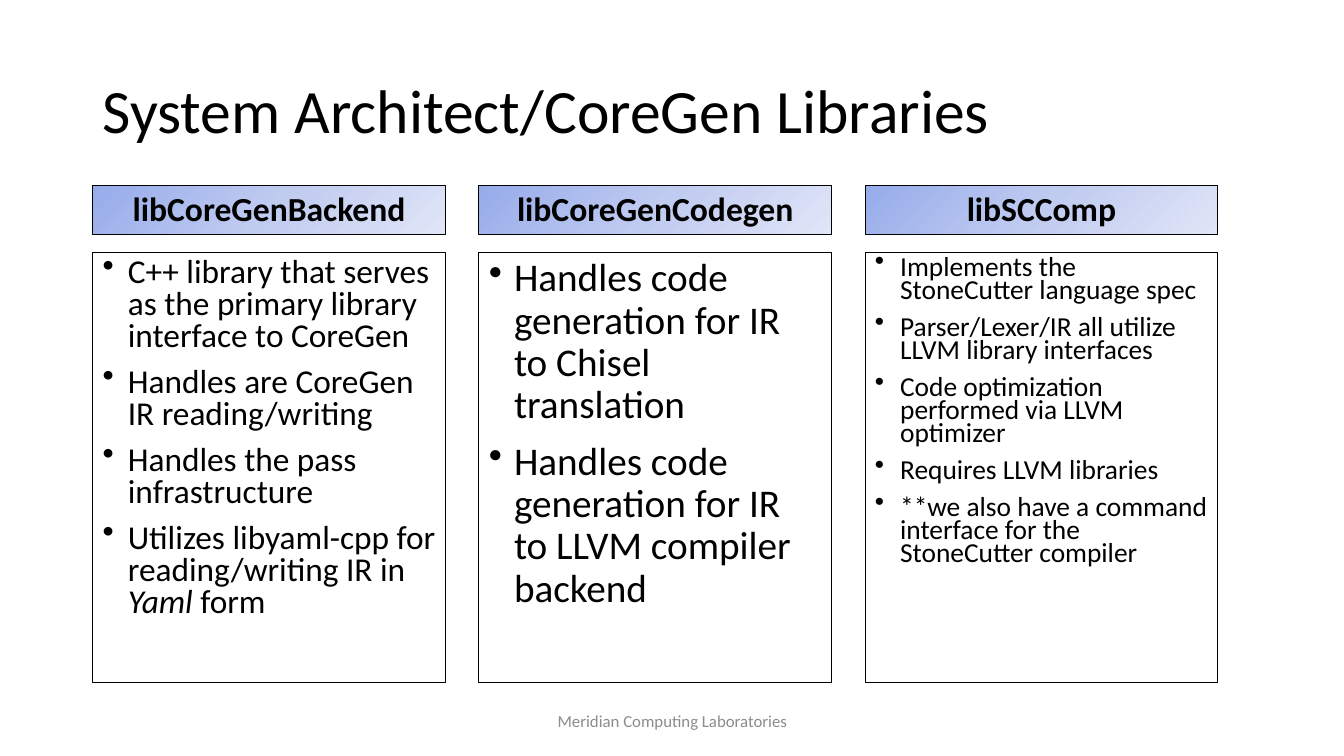
"""Builds the slide on the System Architect/CoreGen libraries."""
from copy import deepcopy

from lxml import etree
from pptx import Presentation
from pptx import util as u
from pptx.dml.color import RGBColor
from pptx.enum import shapes, text
from pptx.oxml import ns

BLACK = RGBColor(0x00, 0x00, 0x00)
GREY = RGBColor(0x8C, 0x8C, 0x8C)
HEADING_BLUES = (
    RGBColor(0x96, 0xAB, 0xEA),
    RGBColor(0xC0, 0xCB, 0xF0),
    RGBColor(0xE0, 0xE5, 0xF7),
)

LIBRARIES = [
    ("libCoreGenBackend", 23.8, 0.8, [
        "C++ library that serves as the primary library interface to CoreGen",
        "Handles are CoreGen IR reading/writing",
        "Handles the pass infrastructure",
        "Utilizes libyaml-cpp for reading/writing IR in Yaml form",
    ]),
    ("libCoreGenCodegen", 28, 0.9, [
        "Handles code generation for IR to Chisel translation",
        "Handles code generation for IR to LLVM compiler backend",
    ]),
    ("libSCComp", 19.6, 0.7, [
        "Implements the StoneCutter language spec",
        "Parser/Lexer/IR all utilize LLVM library interfaces",
        "Code optimization performed via LLVM optimizer",
        "Requires LLVM libraries",
        "**we also have a command interface for the StoneCutter compiler",
    ]),
]


def write(frame, lines, size, color=BLACK, bold=False, align=text.PP_ALIGN.LEFT,
          anchor=text.MSO_ANCHOR.MIDDLE, spacing=0.9, bullet=None, italic_word=None):
    frame.word_wrap = True
    frame.vertical_anchor = anchor
    for index, line in enumerate(lines):
        paragraph = frame.add_paragraph() if index else frame.paragraphs[0]
        paragraph.alignment = align
        paragraph.line_spacing = spacing
        paragraph.space_before = u.Pt(10 if index else 0)
        if bullet:
            properties = paragraph._p.get_or_add_pPr()
            properties.set("marL", str(u.Inches(0.25)))
            properties.set("indent", str(u.Inches(-0.25)))
            etree.SubElement(properties, ns.qn("a:buChar"), char=bullet)
        parts = line.partition(italic_word) if italic_word else (line,)
        for part in filter(None, parts):
            run = paragraph.add_run()
            run.text = part
            run.font.name = "Calibri"
            run.font.size = u.Pt(size)
            run.font.bold = bold
            run.font.italic = part == italic_word
            run.font.color.rgb = color


class LibrarySlide:
    def __init__(self, slide):
        self.slide = slide
        self.border = u.Pt(0.75)

    def label(self, left, top, width, height, line, size, **style):
        box = self.slide.shapes.add_textbox(*map(u.Inches, (left, top, width, height)))
        write(box.text_frame, [line], size, **style)

    def panel(self, left, top, width, height):
        panel = self.slide.shapes.add_shape(
            shapes.MSO_SHAPE.RECTANGLE, *map(u.Inches, (left, top, width, height)))
        panel.shadow.inherit = False
        panel.fill.background()
        panel.line.color.rgb = BLACK
        panel.line.width = self.border
        return panel

    def heading(self, left, top, width, height, name):
        heading = self.panel(left, top, width, height)
        heading.fill.gradient()
        heading.fill.gradient_angle = 315
        stops = heading._element.spPr.find(".//" + ns.qn("a:gsLst"))
        stops.insert(1, deepcopy(stops[0]))
        for stop, color, position in zip(heading.fill.gradient_stops, HEADING_BLUES, (0, 0.5, 1)):
            stop.color.rgb = color
            stop.position = position
        write(heading.text_frame, [name], 24, bold=True, align=text.PP_ALIGN.CENTER)

    def points(self, left, top, width, height, lines, size, spacing):
        panel = self.panel(left, top, width, height)
        write(panel.text_frame, lines, size, anchor=text.MSO_ANCHOR.TOP,
              spacing=spacing, bullet="•", italic_word="Yaml")


def main():
    deck = Presentation()
    deck.slide_width, deck.slide_height = u.Inches(13.33), u.Inches(7.5)
    page = LibrarySlide(deck.slides.add_slide(deck.slide_layouts[6]))
    page.label(0.92, 0.4, 11.5, 1.45, "System Architect/CoreGen Libraries", 44)
    for column, (name, size, spacing, lines) in enumerate(LIBRARIES):
        left = 0.92 + column * 3.83
        page.heading(left, 1.84, 3.5, 0.49, name)
        page.points(left, 2.51, 3.5, 4.26, lines, size, spacing)
    page.label(4.42, 6.95, 4.5, 0.4, "Meridian Computing Laboratories", 12,
               color=GREY, align=text.PP_ALIGN.CENTER, spacing=1.0)
    deck.save("out.pptx")


if __name__ == "__main__":
    main()
